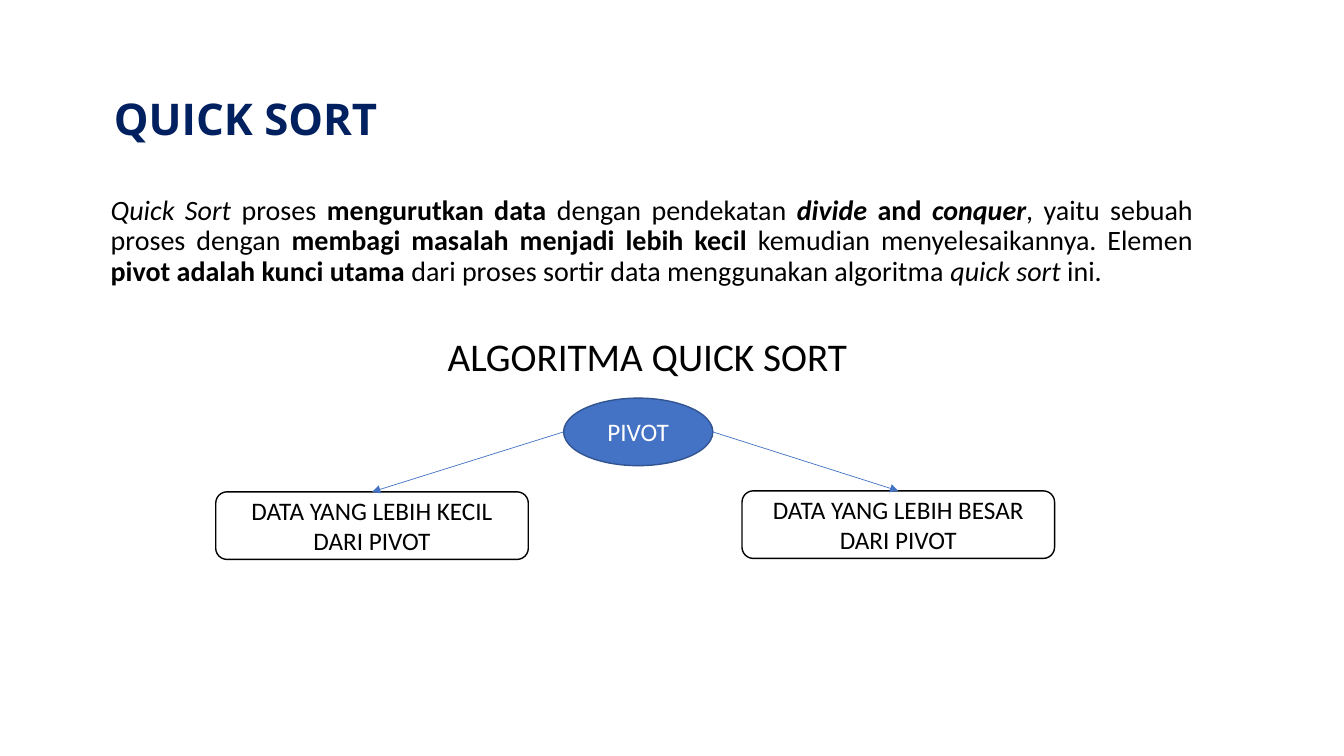
from lxml import etree
from pptx import Presentation
from pptx.dml.color import RGBColor
from pptx.enum.shapes import MSO_CONNECTOR, MSO_SHAPE
from pptx.enum.text import MSO_ANCHOR, MSO_AUTO_SIZE, PP_ALIGN
from pptx.oxml.ns import qn
from pptx.util import Inches, Pt

BLACK = RGBColor(0x00, 0x00, 0x00)
WHITE = RGBColor(0xFF, 0xFF, 0xFF)
NAVY = RGBColor(0x00, 0x20, 0x60)
BLUE = RGBColor(0x44, 0x72, 0xC4)
DARK_BLUE = RGBColor(0x32, 0x54, 0x91)

LEFT, CENTER, JUSTIFY = PP_ALIGN.LEFT, PP_ALIGN.CENTER, PP_ALIGN.JUSTIFY
MIDDLE = MSO_ANCHOR.MIDDLE
NO_AUTOFIT = MSO_AUTO_SIZE.NONE
STRAIGHT = MSO_CONNECTOR.STRAIGHT
OVAL, ROUNDED = MSO_SHAPE.OVAL, MSO_SHAPE.ROUNDED_RECTANGLE

TITLE_ONLY = 5
NODE_HEIGHT = 0.67

DESCRIPTION = [
    ("Quick Sort ", "i"),
    ("proses ", ""),
    ("mengurutkan data ", "b"),
    ("dengan pendekatan ", ""),
    ("divide", "bi"),
    (" and ", "b"),
    ("conquer", "bi"),
    (", yaitu sebuah proses dengan ", ""),
    ("membagi masalah menjadi lebih kecil ", "b"),
    ("kemudian menyelesaikannya. Elemen ", ""),
    ("pivot adalah kunci utama ", "b"),
    ("dari proses sortir data menggunakan algoritma ", ""),
    ("quick sort ", "i"),
    ("ini.", ""),
]
BRANCHES = [
    ("DATA YANG LEBIH KECIL DARI PIVOT", 2.14, 4.88),
    ("DATA YANG LEBIH BESAR DARI PIVOT", 7.36, 4.87),
]


def style_paragraph(paragraph, size, color, alignment, font_name="Calibri"):
    paragraph.alignment = alignment
    paragraph.font.name = font_name
    paragraph.font.size = Pt(size)
    paragraph.font.color.rgb = color


def set_title(slide, text):
    title = slide.shapes.title
    title.left, title.top = Inches(1), Inches(0.84)
    title.width, title.height = Inches(11.33), Inches(NODE_HEIGHT)
    frame = title.text_frame
    frame.text = text
    frame.auto_size = NO_AUTOFIT
    frame.vertical_anchor = MIDDLE
    frame.margin_left = frame.margin_right = Inches(0.13)
    frame.margin_top = frame.margin_bottom = Inches(0.07)
    paragraph = frame.paragraphs[0]
    style_paragraph(paragraph, 31.2, NAVY, LEFT, "Open Sans")
    paragraph.font.bold = True


def add_text(slide, top, height, runs, size, alignment):
    box = slide.shapes.add_textbox(Inches(1), Inches(top), Inches(10.93), Inches(height))
    frame = box.text_frame
    frame.word_wrap = True
    paragraph = frame.paragraphs[0]
    style_paragraph(paragraph, size, BLACK, alignment)
    paragraph.line_spacing = 0.9
    for text, emphasis in runs:
        run = paragraph.add_run()
        run.text = text
        run.font.bold = "b" in emphasis
        run.font.italic = "i" in emphasis


def add_node(slide, kind, text, left, top, width, fill, outline, color):
    shape = slide.shapes.add_shape(
        kind, Inches(left), Inches(top), Inches(width), Inches(NODE_HEIGHT)
    )
    shape.shadow.inherit = False
    shape.fill.solid()
    shape.fill.fore_color.rgb = fill
    shape.line.color.rgb = outline
    shape.line.width = Pt(1)
    frame = shape.text_frame
    frame.word_wrap = True
    frame.vertical_anchor = MIDDLE
    frame.text = text
    style_paragraph(frame.paragraphs[0], 18, color, CENTER)
    return shape


def add_arrow(slide, pivot, branch):
    start_x = pivot.left if branch.left < pivot.left else pivot.left + pivot.width
    connector = slide.shapes.add_connector(
        STRAIGHT,
        start_x,
        pivot.top + pivot.height // 2,
        branch.left + branch.width // 2,
        branch.top,
    )
    connector.line.color.rgb = BLUE
    connector.line.width = Pt(0.5)
    etree.SubElement(connector.line._get_or_add_ln(), qn("a:tailEnd"), type="triangle")
    etree.SubElement(connector._element.spPr, qn("a:effectLst"))


def main():
    presentation = Presentation()
    presentation.slide_width = Inches(13.33)
    presentation.slide_height = Inches(7.5)
    slide = presentation.slides.add_slide(presentation.slide_layouts[TITLE_ONLY])

    set_title(slide, "QUICK SORT")
    add_text(slide, 1.9, 4.76, DESCRIPTION, 20, JUSTIFY)
    add_text(slide, 3.3, 3.52, [("ALGORITMA QUICK SORT ", "")], 28, CENTER)

    pivot = add_node(slide, OVAL, "PIVOT", 5.59, 3.95, 1.48, BLUE, DARK_BLUE, WHITE)
    for text, left, top in BRANCHES:
        branch = add_node(slide, ROUNDED, text, left, top, 3.1, WHITE, BLACK, BLACK)
        add_arrow(slide, pivot, branch)

    presentation.save("out.pptx")


if __name__ == "__main__":
    main()
